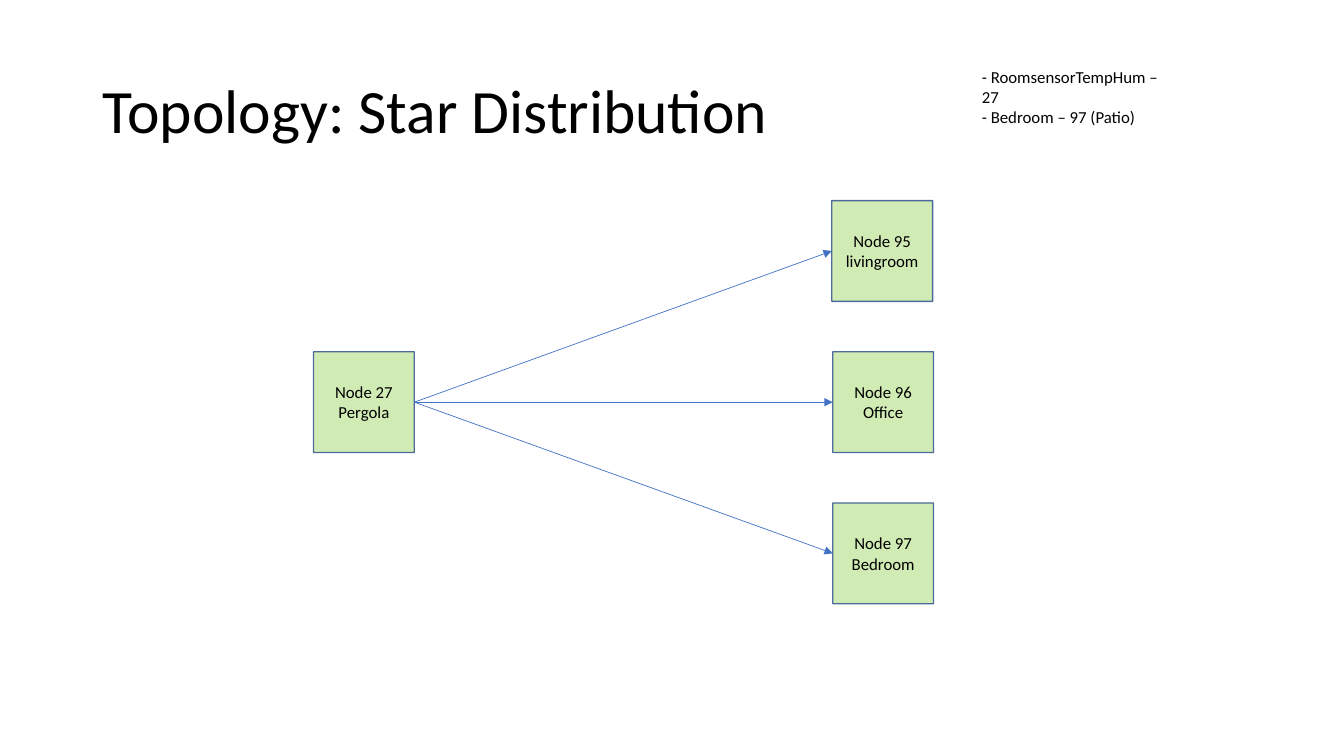
from dataclasses import dataclass

from lxml import etree
from pptx import Presentation
from pptx import util as u
from pptx.dml.color import RGBColor
from pptx.enum import shapes, text
from pptx.oxml import ns

SIDE = 1.0
LEFT, RIGHT = 3.11, 8.26
MID, STEP = 3.49, 1.5
FONT, BLACK = "Calibri", "000000"
GREEN, NAVY, BLUE = "92D050", "325491", "4472C4"


@dataclass
class Node:
    """A square network node with its number and room."""
    num: int
    room: str
    x: float
    y: float


def rgb(code: str) -> RGBColor:
    return RGBColor.from_string(code)


def fade(part, share: int) -> None:
    for clr in part.iter(ns.qn("a:srgbClr")):
        etree.SubElement(clr, ns.qn("a:alpha"), val=str(share * 1000))


def write(frame, lines: list[str], size: float, align=None) -> None:
    for i, line in enumerate(lines):
        para = frame.add_paragraph() if i else frame.paragraphs[0]
        para.alignment = align
        run = para.add_run()
        run.text = line
        run.font.size = u.Pt(size)
        run.font.name = FONT
        run.font.color.rgb = rgb(BLACK)


def draw(slide, node: Node):
    box = slide.shapes.add_shape(
        shapes.MSO_SHAPE.RECTANGLE, u.Inches(node.x), u.Inches(node.y),
        u.Inches(SIDE), u.Inches(SIDE))
    box.name = f"Node {node.num}"
    box.shadow.inherit = False
    box.fill.solid()
    box.fill.fore_color.rgb = rgb(GREEN)
    fade(box._element.spPr.find(ns.qn("a:solidFill")), 42)
    box.line.color.rgb = rgb(NAVY)
    box.line.width = u.Pt(1)
    fade(box._element.spPr.find(ns.qn("a:ln")), 86)
    frame = box.text_frame
    frame.word_wrap = True
    frame.vertical_anchor = text.MSO_ANCHOR.MIDDLE
    write(frame, [f"Node {node.num}", node.room], 12, text.PP_ALIGN.CENTER)
    return box


def link(slide, start, end) -> None:
    line = slide.shapes.add_connector(shapes.MSO_CONNECTOR.STRAIGHT, 0, 0, 0, 0)
    line.begin_connect(start, 3)
    line.end_connect(end, 1)
    line.line.color.rgb = rgb(BLUE)
    line.line.width = u.Pt(0.5)
    props = line._element.spPr
    etree.SubElement(props.find(ns.qn("a:ln")), ns.qn("a:tailEnd"), type="triangle")
    etree.SubElement(props, ns.qn("a:effectLst"))


def main() -> None:
    """Build the star topology slide."""
    deck = Presentation()
    deck.slide_width, deck.slide_height = u.Inches(13.33), u.Inches(7.5)
    slide = deck.slides.add_slide(deck.slide_layouts[5])

    title = slide.shapes.title
    title.left, title.top = u.Inches(0.92), u.Inches(0.4)
    title.width, title.height = u.Inches(11.5), u.Inches(1.45)
    title.text_frame.vertical_anchor = text.MSO_ANCHOR.MIDDLE
    write(title.text_frame, ["Topology: Star Distribution"], 44, text.PP_ALIGN.LEFT)
    title.text_frame.paragraphs[0].line_spacing = 0.9

    hub = draw(slide, Node(27, "Pergola", LEFT, MID))
    leaves = [
        Node(95, "livingroom", RIGHT - 0.01, MID - STEP),
        Node(96, "Office", RIGHT, MID),
        Node(97, "Bedroom", RIGHT, MID + STEP),
    ]
    for leaf in leaves:
        link(slide, hub, draw(slide, leaf))

    note = slide.shapes.add_textbox(
        u.Inches(9.64), u.Inches(0.61), u.Inches(2.13), u.Inches(0.5))
    note.text_frame.word_wrap = False
    note.text_frame.auto_size = text.MSO_AUTO_SIZE.SHAPE_TO_FIT_TEXT
    write(note.text_frame, ["- RoomsensorTempHum – 27", "- Bedroom – 97 (Patio)"], 12)

    deck.save("out.pptx")


main()
